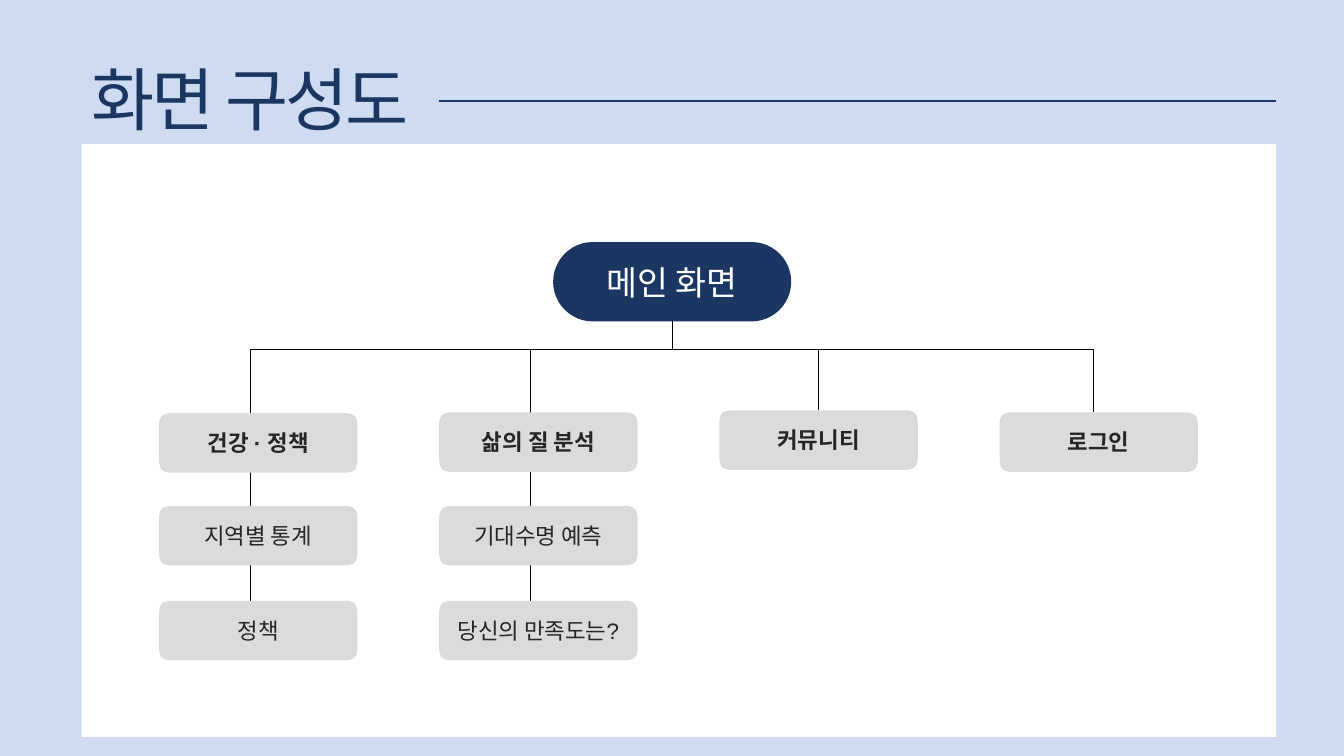
"""Build the screen structure slide: a main screen with four menu branches."""
from lxml import etree
from pptx import Presentation
from pptx.dml.color import RGBColor
from pptx.enum import shapes, text
from pptx.oxml import ns
from pptx.util import Cm, Pt

PALE_BLUE = RGBColor(0xCF, 0xDB, 0xF0)
WHITE = RGBColor(0xFF, 0xFF, 0xFF)
NAVY = RGBColor(0x1C, 0x36, 0x64)
RULE_NAVY = RGBColor(0x20, 0x38, 0x64)
GREY = RGBColor(0xDB, 0xDB, 0xDB)
INK = RGBColor(0x26, 0x26, 0x26)
BLACK = RGBColor(0x00, 0x00, 0x00)
RECTANGLE = shapes.MSO_SHAPE.RECTANGLE
ROUNDED = shapes.MSO_SHAPE.ROUNDED_RECTANGLE

deck = Presentation()
deck.slide_width, deck.slide_height = Cm(33.87), Cm(19.05)
page = deck.slides.add_slide(deck.slide_layouts[6])


def add_box(kind, left, top, width, height, fill, label="", size=16, color=INK, bold=False):
    box = page.shapes.add_shape(kind, Cm(left), Cm(top), Cm(width), Cm(height))
    box.shadow.inherit = False
    box.fill.solid()
    box.fill.fore_color.rgb = fill
    box.line.fill.background()
    if label:
        box.text_frame.vertical_anchor = text.MSO_ANCHOR.MIDDLE
        para = box.text_frame.paragraphs[0]
        para.text = label
        para.alignment = text.PP_ALIGN.CENTER
        para.font.name = "Arial"
        para.font.size = Pt(size)
        para.font.bold = bold
        para.font.color.rgb = color
    return box


def add_line(x1, y1, x2, y2, color=BLACK, weight=0.5):
    line = page.shapes.add_connector(
        shapes.MSO_CONNECTOR.STRAIGHT, Cm(x1), Cm(y1), Cm(x2), Cm(y2))
    line.line.color.rgb = color
    line.line.width = Pt(weight)
    etree.SubElement(line._element.spPr, ns.qn("a:effectLst"))
    return line


add_box(RECTANGLE, 0, 0, 33.87, 19.05, PALE_BLUE)
add_box(RECTANGLE, 2.06, 3.63, 30.1, 14.94, WHITE)

title = page.shapes.add_textbox(Cm(2.06), Cm(1.32), Cm(17.27), Cm(2.36))
title.text_frame.word_wrap = True
para = title.text_frame.paragraphs[0]
span = para.add_run()
span.text = "화면 구성도"
para.font.name = "Arial"
para.font.size = Pt(49)
para.font.color.rgb = NAVY
span._r.get_or_add_rPr().set("spc", "-190")
add_line(11.07, 2.54, 32.16, 2.54, RULE_NAVY, 1.5)

main_screen = add_box(ROUNDED, 13.94, 6.1, 6, 2, NAVY, "메인 화면", 24, WHITE)
main_screen.adjustments[0] = 0.5

BRANCH_Y = 8.81
add_line(6.3, BRANCH_Y, 27.56, BRANCH_Y)
add_line(16.94, 8.1, 16.94, BRANCH_Y).begin_connect(main_screen, 2)
for x, bottom in [(6.3, 16.61), (13.36, 16.61), (27.56, 10.39)]:
    add_line(x, BRANCH_Y, x, bottom)

MENU_LEFT, MENU_PITCH, MENU_WIDTH, MENU_HEIGHT = 4.01, 7.06, 5, 1.5
SUBMENU_TOP, SUBMENU_PITCH = 12.75, 2.39
menus = [
    (10.41, "건강 · 정책", ["지역별 통계", "정책"]),
    (10.39, "삶의 질 분석", ["기대수명 예측", "당신의 만족도는?"]),
    (10.34, "커뮤니티", []),
    (10.39, "로그인", []),
]
for column, (top, name, submenus) in enumerate(menus):
    left = MENU_LEFT + column * MENU_PITCH
    menu = add_box(ROUNDED, left, top, MENU_WIDTH, MENU_HEIGHT, GREY, name, bold=True)
    if name == "커뮤니티":
        center = left + MENU_WIDTH / 2
        add_line(center, BRANCH_Y, center, top).end_connect(menu, 0)
    for row, submenu in enumerate(submenus):
        add_box(ROUNDED, left, SUBMENU_TOP + row * SUBMENU_PITCH,
                MENU_WIDTH, MENU_HEIGHT, GREY, submenu)

deck.save("out.pptx")
